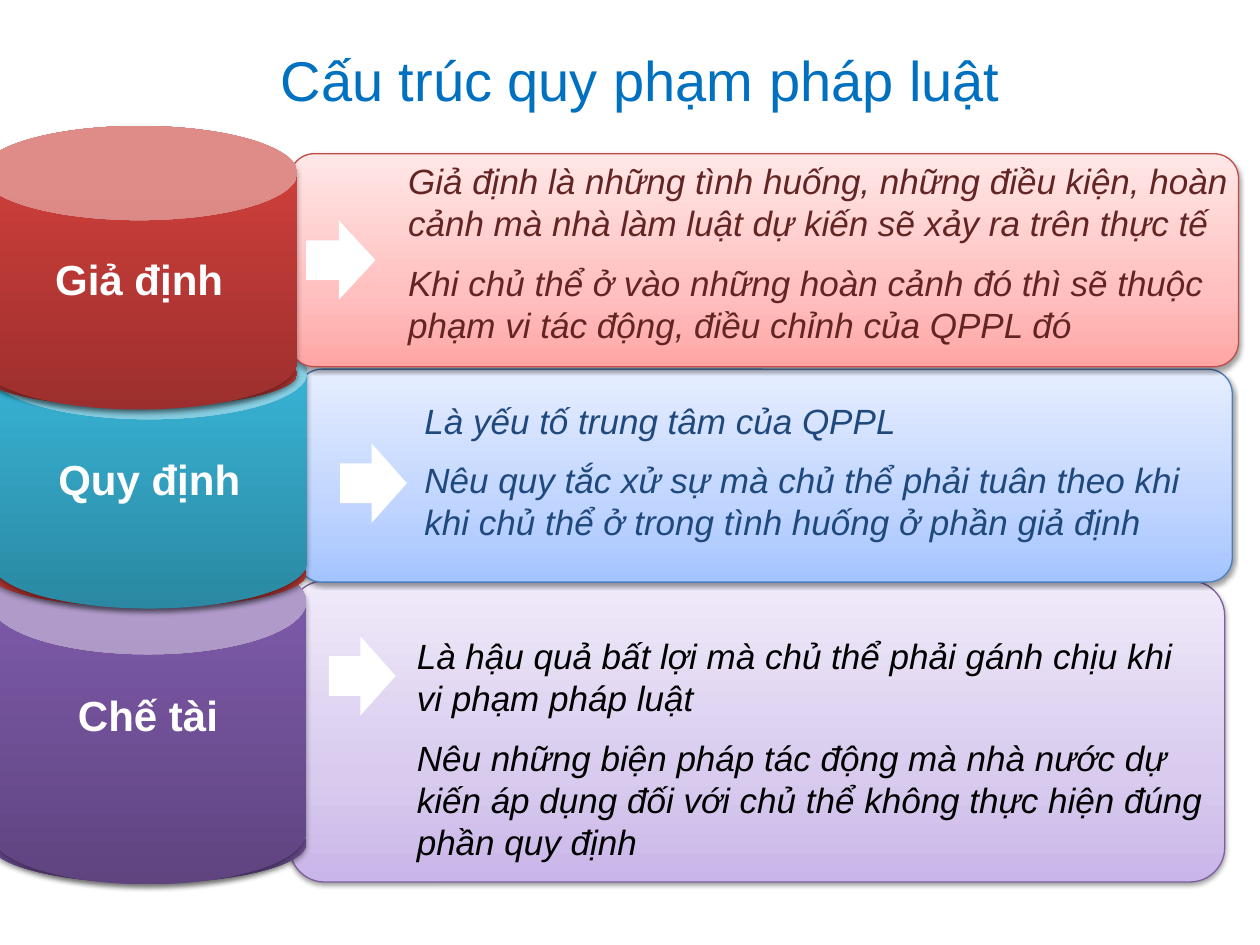
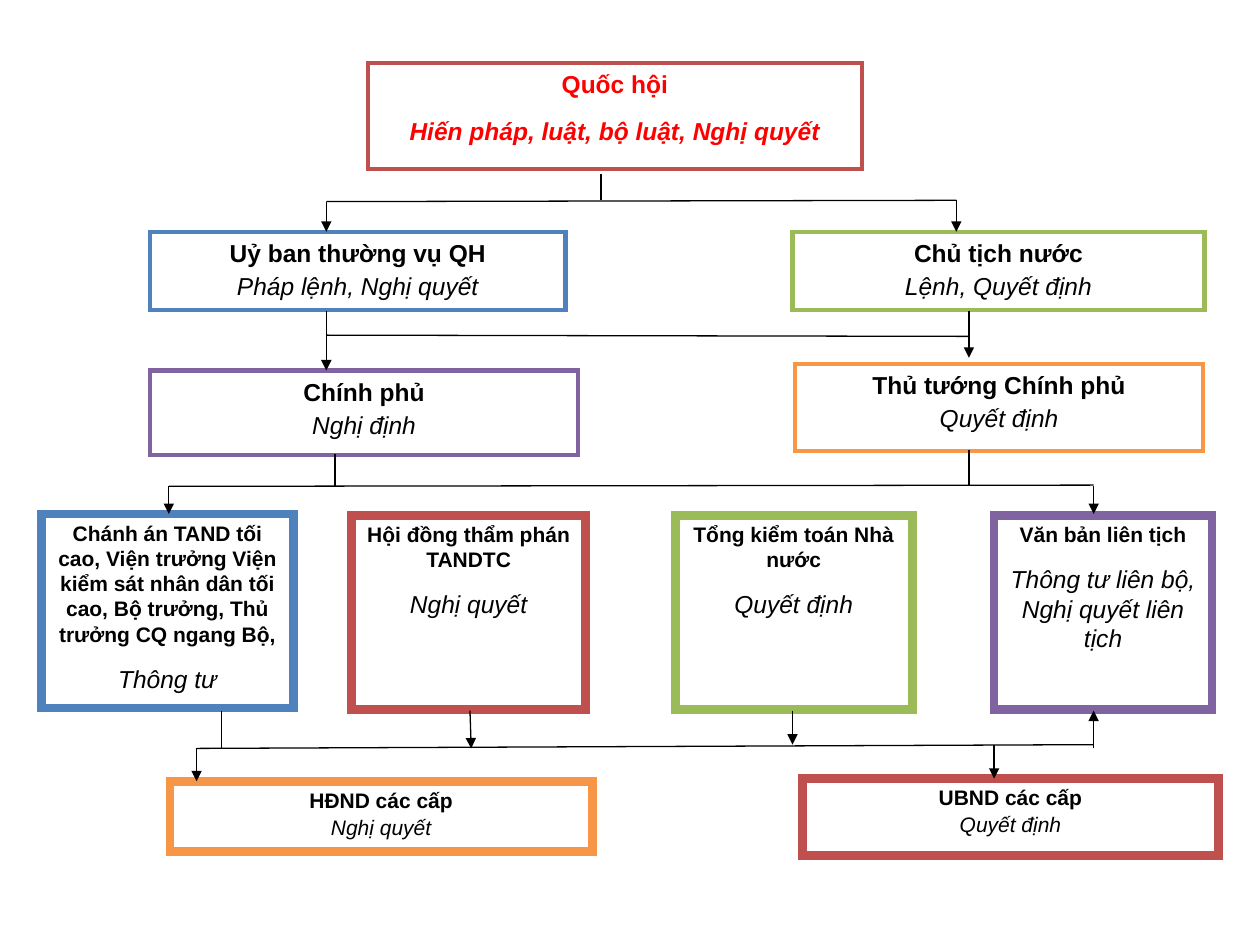
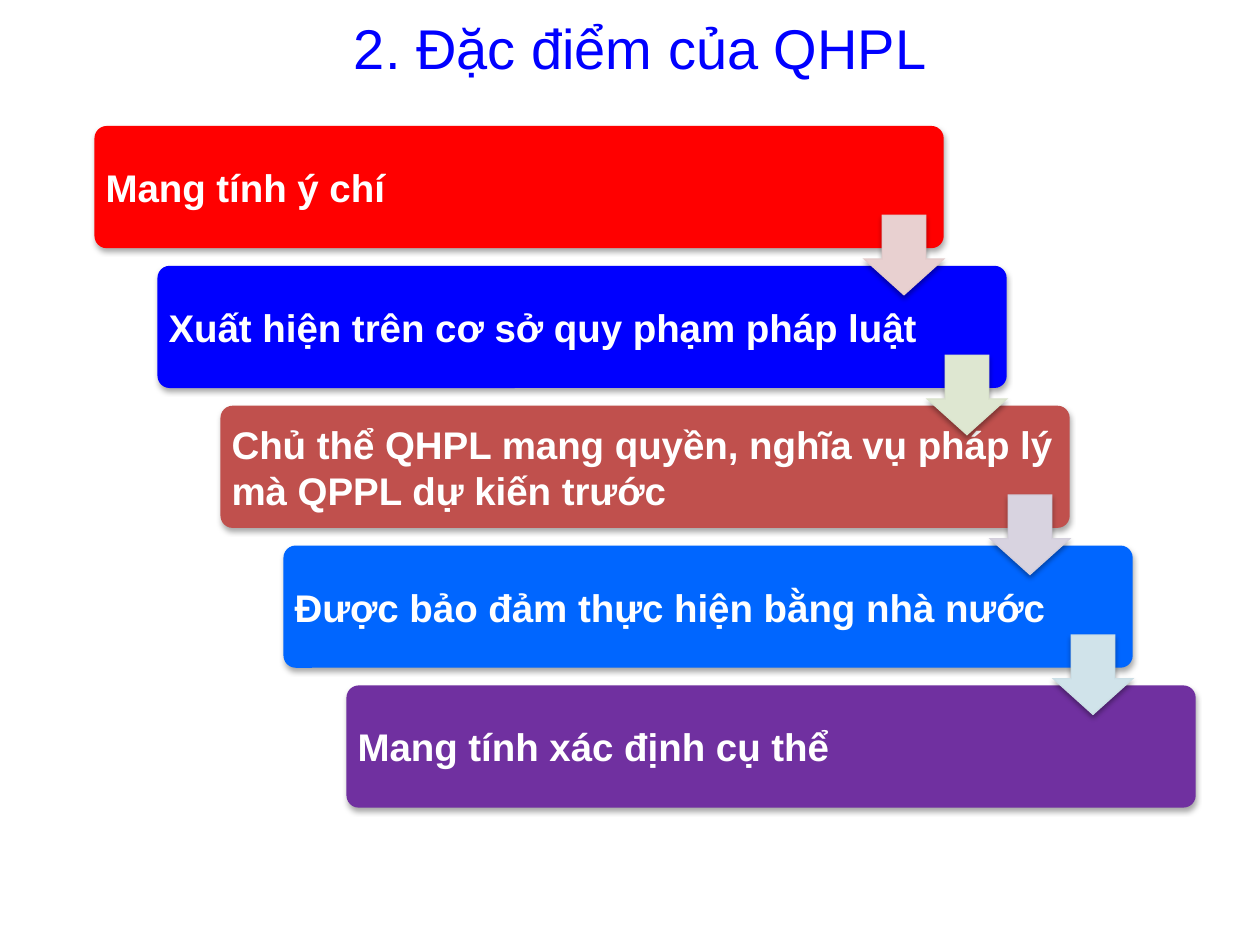
"""Build three slides on legal norms, law-making bodies and legal relations."""
from collections import namedtuple
from dataclasses import dataclass

from lxml.etree import SubElement
from pptx import Presentation
from pptx.dml.color import RGBColor
from pptx.enum.shapes import MSO_CONNECTOR, MSO_SHAPE as Shape
from pptx.enum.text import MSO_ANCHOR as Anchor, PP_ALIGN as Align
from pptx.oxml.ns import qn
from pptx.util import Inches, Pt


@dataclass(frozen=True)
class Theme:
    font: str = "Arial"
    white: str = "FFFFFF"
    black: str = "000000"
    red: str = "FF0000"
    blue: str = "0000FF"
    sky: str = "0070C0"
    accents: tuple = ("4F81BD", "C0504D", "9BBB59", "8064A2", "F79646")
    title: int = 32
    label: int = 24
    step: int = 22
    note: int = 20
    hairline: float = 0.75


THEME = Theme()
BLUE, RED, GREEN, PURPLE, ORANGE = THEME.accents
PANEL_SHADOW = (38, 3.1, 1.6)
SOLID_SHADOW = (35, 3.1, 1.8)
RED_CAN = ("9C2F2D", "CB3E3A", "CE3B37")
TEAL_CAN = ("2A88A2", "37B1D2", "34B4D6")
PURPLE_CAN = ("5F4480", "7B58A6", "7C57A8")

Stage = namedtuple("Stage", "name notes ink panel panel_fill edge note arrow "
                   "base base_fill can can_fill label_top")
STAGES = [
    Stage("Chế tài",
          ["Là hậu quả bất lợi mà chủ thể phải gánh chịu khi vi phạm pháp luật",
           "Nêu những biện pháp tác động mà nhà nước dự kiến áp dụng đối với chủ thể "
           "không thực hiện đúng phần quy định"],
          THEME.black, (2.3, 4.61, 7.42, 2.39), ("C9B5E8", "D8CBEE", "F0EAF9"), "7D60A0",
          (3.21, 4.99, 6.44, 1.95), (2.61, 5.05, 0.53, 0.63),
          (-0.08, 6.38, 2.51, 0.63), PURPLE_CAN, (-0.08, 4.36, 2.51, 2.66), PURPLE_CAN, 5.42),
    Stage("Quy định",
          ["Là yếu tố trung tâm của QPPL",
           "Nêu quy tắc xử sự mà chủ thể phải tuân theo khi khi chủ thể ở trong "
           "tình huống ở phần giả định"],
          "1F497D", (2.36, 2.93, 7.42, 1.69), ("A4C4FF", "BFD4FF", "E6EEFF"), "4B7EBC",
          (3.27, 3.12, 6.56, 1.28), (2.7, 3.52, 0.53, 0.63),
          (-0.08, 4.29, 2.51, 0.53), RED_CAN, (-0.07, 2.58, 2.51, 2.25), TEAL_CAN, 3.55),
    Stage("Giả định",
          ["Giả định là những tình huống, những điều kiện, hoàn cảnh mà nhà làm luật "
           "dự kiến sẽ xảy ra trên thực tế",
           "Khi chủ thể ở vào những hoàn cảnh đó thì sẽ thuộc phạm vi tác động, "
           "điều chỉnh của QPPL đó"],
          "632523", (2.3, 1.22, 7.53, 1.69), ("FFA6A5", "FFC0BF", "FFE7E7"), "BF4C48",
          (3.14, 1.22, 7.22, 1.62), (2.43, 1.75, 0.55, 0.63),
          (-0.15, 2.7, 2.51, 0.53), RED_CAN, (-0.15, 1, 2.51, 2.25), RED_CAN, 1.96),
]

Tier = namedtuple("Tier", "border name_size act_size gap ink bold_act bodies")
TIERS = [
    Tier(2.5, 14, 14, 10, THEME.red, True, [
        ("Quốc hội", "Hiến pháp, luật, bộ luật, Nghị quyết", RED, (2.92, 0.5, 3.92, 0.84)),
    ]),
    Tier(2.5, 14, 14, 2, THEME.black, False, [
        ("Uỷ ban thường vụ QH", "Pháp lệnh, Nghị quyết", BLUE, (1.19, 1.84, 3.3, 0.62)),
        ("Chủ tịch nước", "Lệnh, Quyết định", GREEN, (6.29, 1.84, 3.27, 0.62)),
        ("Chính phủ", "Nghị định", PURPLE, (1.19, 2.94, 3.4, 0.67)),
        ("Thủ tướng Chính phủ", "Quyết định", ORANGE, (6.31, 2.89, 3.24, 0.69)),
    ]),
    Tier(5, 12, 14, 10, THEME.black, False, [
        ("Chánh án TAND tối cao, Viện trưởng Viện kiểm sát nhân dân tối cao, Bộ trưởng, "
         "Thủ trưởng CQ ngang Bộ,", "Thông tư", BLUE, (0.33, 4.08, 2, 1.54)),
        ("Hội đồng thẩm phán TANDTC", "Nghị quyết", RED, (2.79, 4.09, 1.86, 1.54)),
        ("Tổng kiểm toán Nhà nước", "Quyết định", GREEN, (5.36, 4.09, 1.88, 1.54)),
        ("Văn bản liên tịch", "Thông tư liên bộ, Nghị quyết liên tịch", PURPLE,
         (7.89, 4.09, 1.73, 1.54)),
    ]),
    Tier(5, 12, 12, 1, THEME.black, False, [
        ("HĐND các cấp", "Nghị quyết", ORANGE, (1.35, 6.2, 3.35, 0.56)),
        ("UBND các cấp", "Quyết định", RED, (6.37, 6.18, 3.3, 0.61)),
    ]),
]
PLAIN_LINES = [
    (2.59, 1.6, 7.59, 1.59), (4.77, 1.38, 4.77, 1.59), (2.59, 2.66, 7.69, 2.67),
    (1.34, 3.86, 8.68, 3.85), (2.66, 3.6, 2.66, 3.86), (7.69, 3.57, 7.69, 3.85),
    (1.56, 5.94, 8.68, 5.91), (1.76, 5.64, 1.76, 5.94),
]
ARROW_LINES = [
    (2.59, 1.6, 2.59, 1.84), (7.59, 1.59, 7.59, 1.84), (2.59, 2.47, 2.59, 2.94),
    (7.69, 2.47, 7.69, 2.84), (1.34, 3.86, 1.34, 4.08), (8.68, 3.86, 8.68, 4.08),
    (1.56, 5.94, 1.56, 6.2), (3.73, 5.64, 3.74, 5.94), (6.29, 5.64, 6.29, 5.91),
    (7.89, 5.91, 7.89, 6.18), (8.68, 5.94, 8.68, 5.64),
]

STEPS = [
    ("Mang tính ý chí", THEME.red),
    ("Xuất hiện trên cơ sở quy phạm pháp luật", THEME.blue),
    ("Chủ thể QHPL mang quyền, nghĩa vụ pháp lý mà QPPL dự kiến trước", RED),
    ("Được bảo đảm thực hiện bằng nhà nước", "0066FF"),
    ("Mang tính xác định cụ thể", "7030A0"),
]
STEP_ARROWS = [("E8D0D0", "E3CBCB"), ("DEE7D1", "D9E2CC"),
               ("D8D3E0", "D3CEDB"), ("D0E3EA", "CBDEE5")]


def rgb(color):
    """Turn a hex string into a colour."""
    return RGBColor.from_string(color)


def place(rect):
    """Turn a rectangle in inches into lengths."""
    return [Inches(value) for value in rect]


def add_shadow(shape, opacity, blur, distance):
    """Give a shape a downward black shadow."""
    effects = shape._element.spPr.find(qn("a:effectLst"))
    outer = SubElement(effects, qn("a:outerShdw"), blurRad=str(Pt(blur)),
                       dist=str(Pt(distance)), dir="5400000", rotWithShape="0")
    color = SubElement(outer, qn("a:srgbClr"), val=THEME.black)
    SubElement(color, qn("a:alpha"), val=str(opacity * 1000))


def fill_gradient(shape, stops):
    """Fill a shape from bottom to top with (percent, colour) stops."""
    shape.fill.gradient()
    shape.fill.gradient_angle = 90
    stop_list = shape._element.spPr.find(qn("a:gradFill")).find(qn("a:gsLst"))
    stop_list.clear()
    for percent, color in stops:
        stop = SubElement(stop_list, qn("a:gs"), pos=str(percent * 1000))
        SubElement(stop, qn("a:srgbClr"), val=color)


def add_figure(page, kind, rect, fill, line=None, width=THEME.hairline,
               adjust=(), shadow=None):
    """Add a preset shape; a list as fill means gradient stops."""
    shape = page.shapes.add_shape(kind, *place(rect))
    for index, value in enumerate(adjust):
        shape.adjustments[index] = value
    if isinstance(fill, list):
        fill_gradient(shape, fill)
    else:
        shape.fill.solid()
        shape.fill.fore_color.rgb = rgb(fill)
    if line:
        shape.line.color.rgb = rgb(line)
        shape.line.width = Pt(width)
        SubElement(shape.line._get_or_add_ln(), qn("a:miter"), lim="800000")
    else:
        shape.line.fill.background()
    shape.shadow.inherit = False
    if shadow:
        add_shadow(shape, *shadow)
    return shape


def style(para, size, color, bold=False, italic=False, align=Align.LEFT):
    """Format every run of a paragraph."""
    para.alignment = align
    for span in para.runs:
        font = span.font
        font.name, font.size, font.bold, font.italic = THEME.font, Pt(size), bold, italic
        font.color.rgb = rgb(color)


def add_text(page, rect, lines, size, color, **look):
    """Add a wrapped text box with one paragraph a line."""
    box = page.shapes.add_textbox(*place(rect))
    box.text_frame.word_wrap = True
    box.text_frame.text = "\n".join(lines)
    for index, para in enumerate(box.text_frame.paragraphs):
        style(para, size, color, **look)
        if index:
            para.space_before = Pt(size / 2)


def add_titled_page(deck, text, top, color):
    """Add a page with a formatted title placeholder."""
    page = deck.slides.add_slide(deck.slide_layouts[5])
    title = page.shapes.title
    title.left, title.top, title.width, title.height = place((1.5, top, 7.17, 0.75))
    title.text_frame.text = text
    title.text_frame.vertical_anchor = Anchor.MIDDLE
    style(title.text_frame.paragraphs[0], THEME.title, color, align=Align.CENTER)
    return page


def add_line(page, ends, arrow):
    """Add a thin black line, with an arrowhead at its end if asked."""
    line = page.shapes.add_connector(MSO_CONNECTOR.STRAIGHT, *place(ends))
    line.line.color.rgb = rgb(THEME.black)
    line.line.width = Pt(THEME.hairline)
    if arrow:
        SubElement(line.line._get_or_add_ln(), qn("a:tailEnd"), type="triangle")
    SubElement(line._element.spPr, qn("a:effectLst"))


def add_stage(page, stage):
    """Draw one cylinder with its panel of notes."""
    panel_stops = list(zip((0, 35, 100), stage.panel_fill))
    add_figure(page, Shape.ROUNDED_RECTANGLE, stage.panel, panel_stops, stage.edge,
               adjust=[0.115], shadow=PANEL_SHADOW)
    add_text(page, stage.note, stage.notes, THEME.note, stage.ink, italic=True)
    add_figure(page, Shape.RIGHT_ARROW, stage.arrow, THEME.white, adjust=[0.5, 0.528])
    for kind, rect, colors, adjust in ((Shape.OVAL, stage.base, stage.base_fill, []),
                                       (Shape.CAN, stage.can, stage.can_fill, [0.332])):
        add_figure(page, kind, rect, list(zip((0, 80, 100), colors)),
                   adjust=adjust, shadow=SOLID_SHADOW)
    add_text(page, (stage.can[0] + 0.09, stage.label_top, 2.33, 0.51), [stage.name],
             THEME.label, THEME.white, bold=True, align=Align.CENTER)


def build_structure(deck):
    """Build the page on the parts of a legal norm."""
    page = add_titled_page(deck, "Cấu trúc quy phạm pháp luật", 0.25, THEME.sky)
    for stage in STAGES:
        add_stage(page, stage)


def build_bodies(deck):
    """Build the chart of bodies and the acts they issue."""
    page = deck.slides.add_slide(deck.slide_layouts[6])
    for tier in TIERS:
        for name, act, border, rect in tier.bodies:
            box = add_figure(page, Shape.RECTANGLE, rect, THEME.white, border, tier.border)
            box.text_frame.vertical_anchor = Anchor.TOP
            box.text_frame.text = f"{name}\n{act}"
            first, second = box.text_frame.paragraphs
            style(first, tier.name_size, tier.ink, bold=True, align=Align.CENTER)
            style(second, tier.act_size, tier.ink, bold=tier.bold_act, italic=True,
                  align=Align.CENTER)
            first.space_after = Pt(tier.gap)
    for lines, arrow in ((PLAIN_LINES, False), (ARROW_LINES, True)):
        for ends in lines:
            add_line(page, ends, arrow)


def build_features(deck):
    """Build the staircase of features."""
    page = add_titled_page(deck, "2. Đặc điểm của QHPL", 0, THEME.blue)
    step_x, step_y = 0.5, 1.11
    for index, (text, color) in enumerate(STEPS):
        rect = (0.75 + index * step_x, 1 + index * step_y, 6.74, 0.97)
        box = add_figure(page, Shape.ROUNDED_RECTANGLE, rect, color,
                         adjust=[0.1], shadow=SOLID_SHADOW)
        frame = box.text_frame
        frame.margin_left = frame.margin_right = Inches(0.06)
        frame.vertical_anchor = Anchor.MIDDLE
        frame.text = text
        style(frame.paragraphs[0], THEME.step, THEME.white, bold=True)
    for index, (fill, line) in enumerate(STEP_ARROWS):
        rect = (6.86 + index * step_x, 1.71 + index * step_y, 0.63, 0.63)
        add_figure(page, Shape.DOWN_ARROW, rect, fill, line, adjust=[0.55, 0.45],
                   shadow=SOLID_SHADOW)


def main():
    """Build and save the deck."""
    deck = Presentation()
    deck.slide_width, deck.slide_height = Inches(10), Inches(7.5)
    build_structure(deck)
    build_bodies(deck)
    build_features(deck)
    deck.save("out.pptx")


if __name__ == "__main__":
    main()
